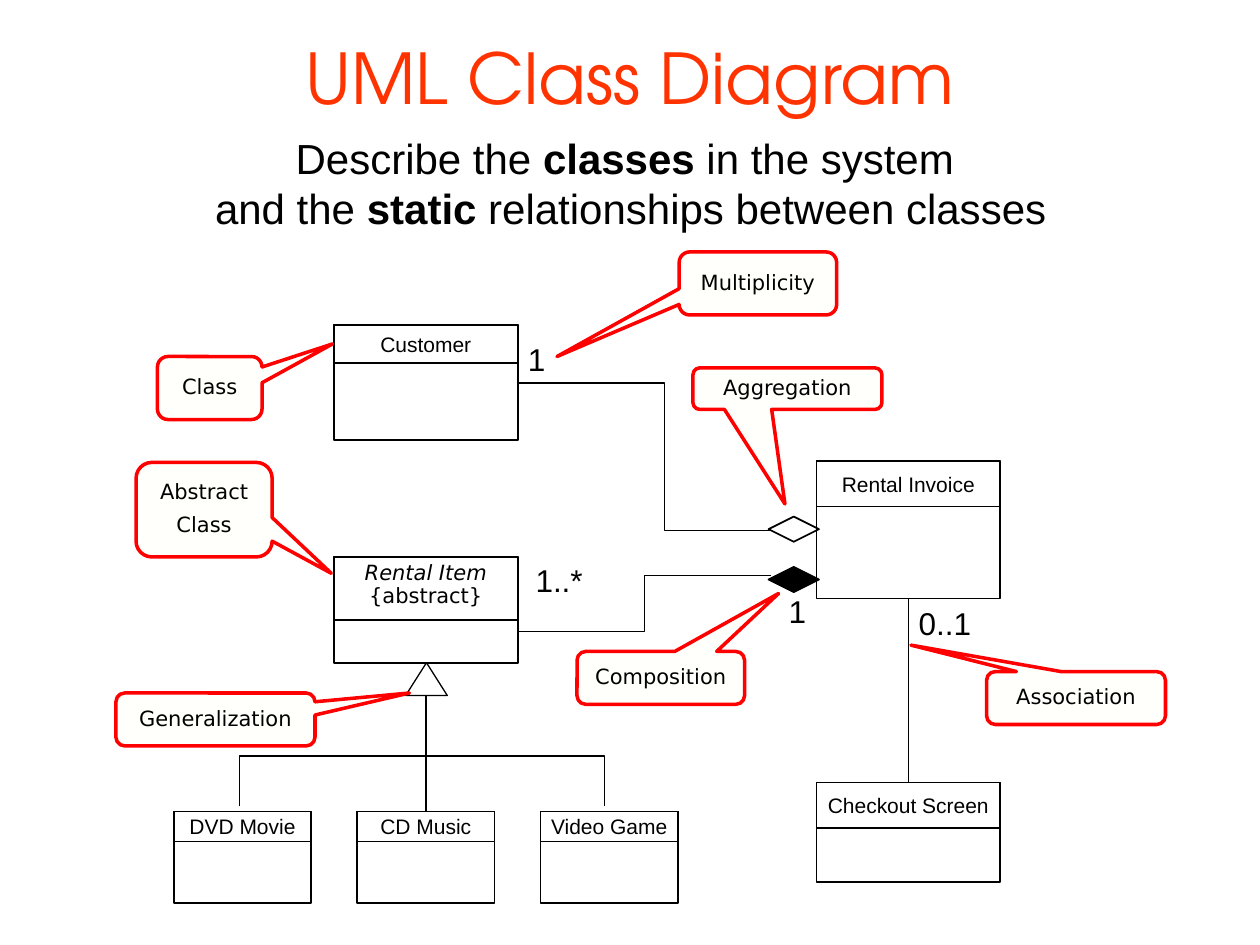
from lxml.etree import SubElement
from pptx import Presentation
from pptx.dml.color import RGBColor
from pptx.enum.shapes import MSO_CONNECTOR, MSO_SHAPE
from pptx.enum.text import MSO_ANCHOR, MSO_AUTO_SIZE, PP_ALIGN
from pptx.oxml.ns import qn
from pptx.util import Inches, Pt

BLACK, WHITE, RED, CREAM, ORANGE = "000000", "FFFFFF", "FF0000", "FFFFFB", "FF3300"
color = RGBColor.from_string

deck = Presentation()
deck.slide_width, deck.slide_height = Inches(10), Inches(7.5)
cell = deck.slide_width // 100
slide = deck.slides.add_slide(deck.slide_layouts[5])
shapes = slide.shapes


def paint(shape, fill, line, width):
    shape.shadow.inherit = False
    if fill:
        shape.fill.solid()
        shape.fill.fore_color.rgb = color(fill)
    else:
        shape.fill.background()
    shape.line.color.rgb = color(line)
    shape.line.width = Pt(width)


def write(frame, lines, size, font="Arial", ink=BLACK, align=PP_ALIGN.CENTER, spacing=None):
    frame.vertical_anchor = MSO_ANCHOR.MIDDLE
    for index, line in enumerate(lines):
        paragraph = frame.paragraphs[0] if index == 0 else frame.add_paragraph()
        for position, words in enumerate(line.split("*") if size == 24 else [line]):
            run = paragraph.add_run()
            run.text = words
            if position % 2:
                run.font.bold = True
        paragraph.alignment = align
        paragraph.font.size = Pt(size)
        paragraph.font.name = font
        paragraph.font.color.rgb = color(ink)
        if spacing:
            paragraph.line_spacing = spacing
            paragraph.space_before = Pt(6 if index else 0)


title = shapes.title
title.left, title.top, title.width, title.height = [round(v * cell) for v in (7.5, 2.5, 85, 7.1)]
title.text_frame.auto_size = MSO_AUTO_SIZE.NONE
write(title.text_frame, ["UML Class Diagram"], 40, "TeX Gyre Adventor", ORANGE)

summary = shapes.add_textbox(*[round(v * cell) for v in (6.7, 10, 86.7, 9)]).text_frame
summary.word_wrap = True
write(summary, ["Describe the *classes* in the system ",
                "and the *static* relationships between classes"], 24)

classes = [
    ("Customer", 26.5, 25.8, 14.6, 9.1, 3),
    ("Rental Invoice", 64.8, 36.6, 14.6, 10.9, 3.6),
    ("Checkout Screen", 64.8, 62.1, 14.6, 7.9, 3.6),
    ("Rental Item\n{abstract}", 26.5, 44.2, 14.6, 8.4, 5),
]
for column, media in enumerate(["DVD Movie", "CD Music", "Video Game"]):
    classes.append((media, 13.8 + 14.55 * column, 64.4, 10.9, 7.3, 2.4))

for name, left, top, width, height, header_height in classes:
    for part_height in (height, header_height):
        part = shapes.add_shape(MSO_SHAPE.RECTANGLE,
                                *[round(v * cell) for v in (left, top, width, part_height)])
        paint(part, WHITE, BLACK, 1)
    header = part.text_frame
    header.margin_left = header.margin_right = 0
    if "{abstract}" in name:
        write(header, name.split("\n"), 12, "DejaVu Sans", spacing=0.5)
        header.paragraphs[0].font.italic = True
    else:
        header.margin_top = header.margin_bottom = 0
        write(header, [name], 12)

for middle, fill in [(42.1, None), (45.7, BLACK)]:
    corners = [(61.2, middle), (63, middle - 0.9), (64.8, middle), (63, middle + 0.9)]
    builder = shapes.build_freeform(*corners[0], scale=cell)
    builder.add_line_segments(corners[1:], close=True)
    paint(builder.convert_to_shape(), fill, BLACK, 1)

branch = shapes.build_freeform(19.25, 64.4, scale=cell)
branch.add_line_segments([(19.25, 60.1), (48.35, 60.1), (48.35, 64.4)], close=False)
paint(branch.convert_to_shape(), None, BLACK, 0.75)

relations = [
    (MSO_CONNECTOR.STRAIGHT, 72.1, 62.1, 72.1, 47.5, 1, None),
    (MSO_CONNECTOR.STRAIGHT, 33.8, 64.4, 33.8, 52.6, 0.75, None),
    (MSO_CONNECTOR.ELBOW, 61.2, 45.7, 41.1, 50.1, 0.75, 50000),
    (MSO_CONNECTOR.ELBOW, 61.2, 42.1, 41.1, 30.4, 0.75, 42200),
]
for route, *ends, width, bend in relations:
    relation = shapes.add_connector(route, *[round(v * cell) for v in ends])
    relation.line.color.rgb = color(BLACK)
    relation.line.width = Pt(width)
    properties = relation._element.spPr
    SubElement(properties, qn("a:effectLst"))
    if bend:
        guides = properties.find(qn("a:prstGeom")).get_or_add_avLst()
        SubElement(guides, qn("a:gd"), name="adj1", fmla=f"val {bend}")

inheritance = shapes.add_shape(MSO_SHAPE.FLOWCHART_EXTRACT,
                               *[round(v * cell) for v in (32.2, 52.6, 3.3, 2.6)])
paint(inheritance, WHITE, BLACK, 0.75)

for multiplicity, left, top, width in [("1", 41.9, 27, 1.4), ("1..*", 42.5, 44.5, 3.8),
                                       ("1", 62.6, 47, 1.4), ("0..1", 72.9, 47.9, 4.2)]:
    label = shapes.add_textbox(*[round(v * cell) for v in (left, top, width, 3)]).text_frame
    label.margin_left = label.margin_right = label.margin_top = label.margin_bottom = 0
    label.word_wrap = False
    write(label, [multiplicity], 18, align=PP_ALIGN.LEFT)

callouts = [
    ("Association", 78.3, 53.3, 14.2, 4.2, 72.3, 51.2),
    ("Class", 12.5, 28.3, 8.3, 5, 26.4, 27.3),
    ("Abstract\nClass", 10.8, 36.7, 10.8, 7.5, 26.3, 45.5),
    ("Aggregation", 55, 29.2, 15, 3.3, 62.3, 40),
    ("Generalization", 9.2, 55, 15.8, 4.2, 32.5, 55),
    ("Composition", 45.8, 51.7, 13.3, 4.2, 61.8, 47.1),
    ("Multiplicity", 53.9, 20, 12.5, 5, 44.2, 28.3),
]
for term, left, top, width, height, tip_x, tip_y in callouts:
    callout = shapes.add_shape(MSO_SHAPE.ROUNDED_RECTANGULAR_CALLOUT,
                               *[round(v * cell) for v in (left, top, width, height)])
    callout.adjustments[0] = (tip_x - left) / width - 0.5
    callout.adjustments[1] = (tip_y - top) / height - 0.5
    paint(callout, CREAM, RED, 2)
    callout.text_frame.word_wrap = False
    write(callout.text_frame, term.split("\n"), 12, "DejaVu Sans", spacing=0.89)

deck.save("out.pptx")
